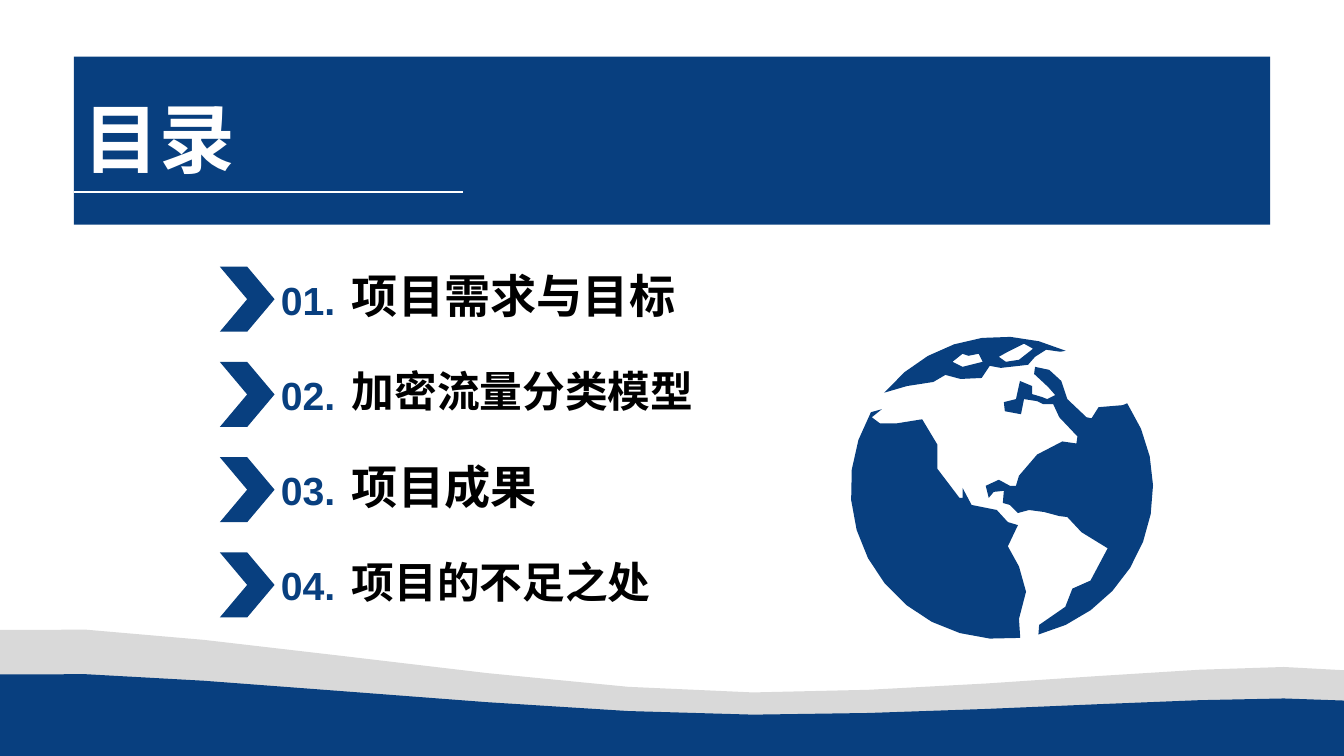
from math import cos, radians, sin

from lxml import etree
from pptx import Presentation
from pptx.dml.color import RGBColor
from pptx.enum.shapes import MSO_CONNECTOR, MSO_SHAPE
from pptx.enum.text import MSO_ANCHOR
from pptx.oxml.ns import qn
from pptx.util import Cm, Pt

RECT = MSO_SHAPE.RECTANGLE
CHEVRON = MSO_SHAPE.CHEVRON
STRAIGHT = MSO_CONNECTOR.STRAIGHT
TOP, MIDDLE = MSO_ANCHOR.TOP, MSO_ANCHOR.MIDDLE
FONT = "Arial"
COLORS = {"navy": "083F7F", "grey": "D9D9D9", "white": "FFFFFF", "black": "000000"}

prs = Presentation()
prs.slide_width, prs.slide_height = Cm(33.87), Cm(19.05)
s = prs.slides.add_slide(prs.slide_layouts[6])


def paint(sp, color):
    sp.shadow.inherit = False
    sp.fill.solid()
    sp.fill.fore_color.rgb = RGBColor.from_string(COLORS[color])
    sp.line.fill.background()


def add_text(text, x, y, w, h, size, color, anchor):
    tf = s.shapes.add_textbox(Cm(x), Cm(y), Cm(w), Cm(h)).text_frame
    tf.word_wrap = True
    tf.vertical_anchor = anchor
    p = tf.paragraphs[0]
    r = p.add_run()
    r.text = text
    r.font.name, r.font.size, r.font.bold = FONT, Pt(size), True
    r.font.color.rgb = RGBColor.from_string(COLORS[color])


waves = []
STEPS = 6
for color, heights in [
    ("grey", [625, 611, 687, 687, 687, 651, 665]),
    ("navy", [669, 660, 709, 709, 709, 686, 695]),
]:
    knots = list(zip([0, 131, 524, 747, 970, 1242, 1333.5], heights))
    wave = [knots[0]]
    for curve in (knots[:4], knots[3:]):
        for i in range(1, STEPS + 1):
            t = i / STEPS
            weights = [(1 - t) ** 3, 3 * t * (1 - t) ** 2, 3 * t * t * (1 - t), t ** 3]
            wave.append([sum(k * v for k, v in zip(weights, axis)) for axis in zip(*curve)])
    waves.append((color, [wave + [(1333.5, 750), (0, 750)]]))

rims = []
for start, end, parts in [(83, 210, 11), (-34, 76, 10), (219, 295, 7)]:
    angles = [radians(start + (end - start) * i / parts) for i in range(parts + 1)]
    rims.append([(994 + 150 * cos(a), 484 + 150 * sin(a)) for a in angles])
pacific = [
    (875, 406), (865, 414), (873, 420), (890, 420), (915, 416), (930, 441), (930, 465),
    (952, 494), (955, 494), (955, 484), (964, 501), (989, 506), (1000, 518), (1010, 521),
    (1000, 542), (1011, 562), (1018, 587), (1011, 614),
]
atlantic_north = [
    (1027, 364), (1041, 367), (1053, 378), (1056, 387), (1059, 396), (1078, 414),
    (1083, 415), (1090, 404), (1114, 402),
]
atlantic_south = [
    (1031, 620), (1057, 602), (1064, 584), (1082, 576), (1099, 544), (1073, 528),
    (1059, 513), (1051, 512), (1036, 508), (1021, 506), (1010, 509), (1002, 501), (995, 499),
    (996, 487), (986, 488), (981, 494), (978, 482), (991, 476), (1002, 482), (1008, 482),
    (1011, 472), (1029, 451), (1054, 438), (1068, 440), (1069, 433), (1051, 414), (1045, 401),
    (1035, 401), (1029, 398), (1016, 396), (1013, 411), (997, 408), (996, 399), (1008, 396),
    (1012, 378), (1024, 383), (1024, 391), (1034, 394), (1039, 396), (1047, 392), (1040, 384),
    (1026, 371),
]
west_island = [(955, 351), (945, 359), (955, 364), (975, 359), (971, 351), (961, 353)]
east_island = [(1016, 341), (1000, 349), (991, 354), (998, 359), (1011, 357), (1025, 346)]
arctic = [
    (1052, 349), (1038, 347), (1027, 354), (1020, 362), (993, 365), (982, 363),
    (974, 375), (953, 376), (938, 372), (926, 379), (900, 383),
]
globe = [
    pacific + rims[0],
    atlantic_north + rims[1] + atlantic_south,
    west_island,
    east_island,
    arctic + rims[2],
]

for color, contours in waves + [("navy", globe)]:
    scaled = [[(x * 100, y * 100) for x, y in contour] for contour in contours]
    builder = s.shapes.build_freeform(*scaled[0][0], scale=Cm(2.54) / 10000)
    for i, contour in enumerate(scaled):
        if i:
            builder.move_to(*contour[0])
        builder.add_line_segments(contour[1:], close=True)
    paint(builder.convert_to_shape(), color)

paint(s.shapes.add_shape(RECT, Cm(1.86), Cm(1.43), Cm(30.15), Cm(4.23)), "navy")
add_text("目录", 1.86, 2.18, 8.33, 1.96, 54, "white", TOP)
rule = s.shapes.add_connector(STRAIGHT, Cm(1.87), Cm(4.83), Cm(11.68), Cm(4.83))
rule.line.color.rgb = RGBColor.from_string(COLORS["white"])
rule.line.width = Pt(1.5)
etree.SubElement(rule._element.spPr, qn("a:effectLst"))

for i, (title, width, size) in enumerate([
    ("项目需求与目标", 10.69, 33),
    ("加密流量分类模型", 9.45, 30.5),
    ("项目成果", 8.69, 33),
    ("项目的不足之处", 8.33, 30.5),
]):
    y = 6.21 + 2.4 * i
    add_text(f"{i + 1:02}.", 6.83, y + 0.32, 2.74, 2.03, 28, "navy", MIDDLE)
    add_text(title, 8.62, y, width, 2.46, size, "black", MIDDLE)
    paint(s.shapes.add_shape(CHEVRON, Cm(5.54), Cm(y + 0.51), Cm(1.38), Cm(1.64)), "navy")

prs.save("out.pptx")
